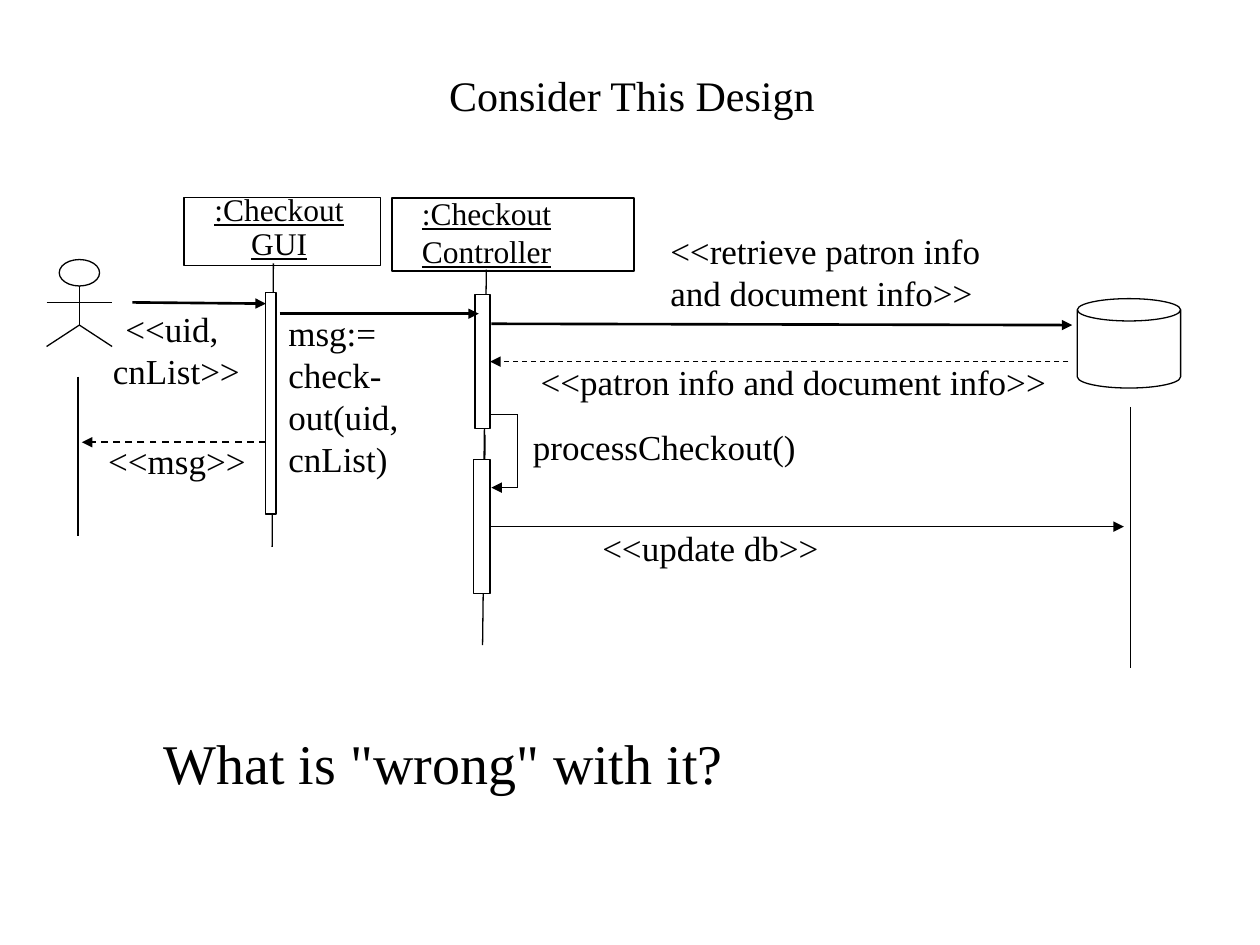
from lxml import etree
from pptx import Presentation
from pptx.dml.color import RGBColor
from pptx.enum.dml import MSO_LINE
from pptx.enum.shapes import MSO_CONNECTOR, MSO_SHAPE
from pptx.enum.text import MSO_ANCHOR, MSO_AUTO_SIZE, PP_ALIGN
from pptx.oxml.ns import qn
from pptx.util import Inches, Pt

COLORS = {"ink": "000000", "paper": "FFFFFF"}
FONT = "Times New Roman"
RIGHT_SIDE = 3


def write(frame, text, size=20, align=PP_ALIGN.LEFT, underline=None,
          spacing=None, inset=(0.1, 0.05), wrap=False, anchor=MSO_ANCHOR.TOP):
    """Fill a text frame, one paragraph per line of text."""
    frame.text = text
    frame.word_wrap = wrap
    frame.vertical_anchor = anchor
    frame.margin_left = frame.margin_right = Inches(inset[0])
    frame.margin_top = frame.margin_bottom = Inches(inset[1])
    for paragraph in frame.paragraphs:
        paragraph.alignment = align
        paragraph.line_spacing = spacing
        for run in paragraph.runs:
            run.font.name = FONT
            run.font.size = Pt(size)
            run.font.underline = underline
            run.font.color.rgb = RGBColor.from_string(COLORS["ink"])


class SequenceDiagram:
    def __init__(self, slide):
        self.slide = slide
        self.ink = RGBColor.from_string(COLORS["ink"])

    def title(self, text, left, top, width, height):
        title = self.slide.shapes.title
        title.left, title.top = Inches(left), Inches(top)
        title.width, title.height = Inches(width), Inches(height)
        write(title.text_frame, text, size=24, align=PP_ALIGN.CENTER,
              wrap=True, anchor=MSO_ANCHOR.MIDDLE)

    def label(self, text, left, top, width, height, **style):
        box = self.slide.shapes.add_textbox(
            Inches(left), Inches(top), Inches(width), Inches(height))
        write(box.text_frame, text, **style)
        box.text_frame.auto_size = MSO_AUTO_SIZE.SHAPE_TO_FIT_TEXT

    def shape(self, kind, left, top, width, height, fill=None, weight=0.75):
        shape = self.slide.shapes.add_shape(
            kind, Inches(left), Inches(top), Inches(width), Inches(height))
        shape.shadow.inherit = False
        if fill:
            shape.fill.solid()
            shape.fill.fore_color.rgb = RGBColor.from_string(COLORS[fill])
        else:
            shape.fill.background()
        shape.line.color.rgb = self.ink
        shape.line.width = Pt(weight)
        return shape

    def activation(self, left, top, width, height):
        return self.shape(MSO_SHAPE.RECTANGLE, left, top, width, height, fill="paper")

    def line(self, x1, y1, x2, y2, weight=0.75, dashed=False, arrow=False):
        line = self.slide.shapes.add_connector(
            MSO_CONNECTOR.STRAIGHT, Inches(x1), Inches(y1), Inches(x2), Inches(y2))
        line.line.color.rgb = self.ink
        line.line.width = Pt(weight)
        if dashed:
            line.line.dash_style = MSO_LINE.DASH
        if arrow:
            etree.SubElement(line.line._get_or_add_ln(), qn("a:tailEnd"), type="triangle")
        etree.SubElement(line._element.spPr, qn("a:effectLst"))
        return line

    def message(self, x1, y1, x2, y2, **style):
        return self.line(x1, y1, x2, y2, arrow=True, **style)

    def actor(self, center, top):
        neck, hips, feet = top + 0.21, top + 0.52, top + 0.69
        self.shape(MSO_SHAPE.OVAL, center - 0.16, top, 0.32, 0.21)
        self.line(center, neck, center, hips)
        for reach in (0.26, -0.26):
            self.line(center, hips, center + reach, feet)
        self.line(center - 0.26, top + 0.34, center + 0.26, top + 0.34)


def main():
    prs = Presentation()
    prs.slide_width, prs.slide_height = Inches(10), Inches(7.5)
    diagram = SequenceDiagram(prs.slides.add_slide(prs.slide_layouts[5]))
    diagram.title("Consider This Design", 0.29, 0.34, 9.45, 0.83)

    # Participants
    diagram.actor(0.63, 2.06)
    diagram.shape(MSO_SHAPE.RECTANGLE, 1.46, 1.57, 1.56, 0.54)
    diagram.label(":Checkout\nGUI", 1.6, 1.49, 1.23, 0.64, size=18,
                  align=PP_ALIGN.CENTER, underline=True, spacing=0.9)
    diagram.shape(MSO_SHAPE.RECTANGLE, 3.11, 1.57, 1.92, 0.58, weight=1)
    diagram.label(":Checkout\nController", 3.25, 1.49, 1.23, 0.7, size=18, underline=True)
    diagram.shape(MSO_SHAPE.CAN, 8.55, 2.37, 0.82, 0.71)

    # Lifelines and activation bars
    diagram.line(0.62, 2.99, 0.62, 4.25)
    diagram.line(8.97, 3.23, 8.97, 5.3)
    diagram.line(2.17, 2.09, 2.16, 4.34)
    diagram.activation(2.11, 2.32, 0.08, 1.76)
    diagram.line(3.86, 2.14, 3.84, 3.8)
    checkout_bar = diagram.activation(3.77, 2.34, 0.12, 1.06)
    diagram.line(3.85, 3.45, 3.83, 5.12)
    update_bar = diagram.activation(3.76, 3.65, 0.13, 1.06)

    # Messages between actor, GUI and controller
    diagram.message(1.05, 2.4, 2.11, 2.41, weight=1.5)
    diagram.label("<<uid, \ncnList>>", 0.55, 2.39, 1.7, 0.77,
                  align=PP_ALIGN.CENTER, wrap=True)
    diagram.message(2.22, 2.49, 3.8, 2.49, weight=1.5)
    diagram.label("msg:=\ncheck-\nout(uid,\ncnList)", 2.19, 2.42, 1.07, 1.44)
    diagram.message(2.11, 3.51, 0.65, 3.51, weight=1, dashed=True)
    diagram.label("<<msg>>", 0.76, 3.44, 1.29, 0.44)

    # Messages between controller and database
    flush = {"inset": (0, 0)}
    diagram.message(3.9, 2.57, 8.51, 2.58, weight=1.5)
    diagram.label("<<retrieve patron info\nand document info>>",
                  5.32, 1.82, 2.53, 0.67, **flush)
    reply = diagram.message(8.48, 2.87, 3.89, 2.87, dashed=True)
    reply.end_connect(checkout_bar, RIGHT_SIDE)
    diagram.label("<<patron info and document info>>", 4.29, 2.86, 4.05, 0.33, **flush)
    update = diagram.message(3.89, 4.18, 8.92, 4.18)
    update.begin_connect(update_bar, RIGHT_SIDE)
    diagram.label("<<update db>>", 4.78, 4.18, 1.72, 0.33, **flush)

    # Controller's call to itself
    diagram.line(3.89, 3.29, 4.11, 3.29)
    diagram.line(4.11, 3.29, 4.11, 3.87)
    diagram.message(4.11, 3.87, 3.9, 3.87)
    diagram.label("processCheckout()", 4.23, 3.38, 2.09, 0.33, **flush)

    # Closing question
    diagram.label('What is "wrong" with it?', 1.3, 5.78, 6.64, 0.53,
                  size=32, wrap=True, **flush)

    prs.save("out.pptx")


if __name__ == "__main__":
    main()
